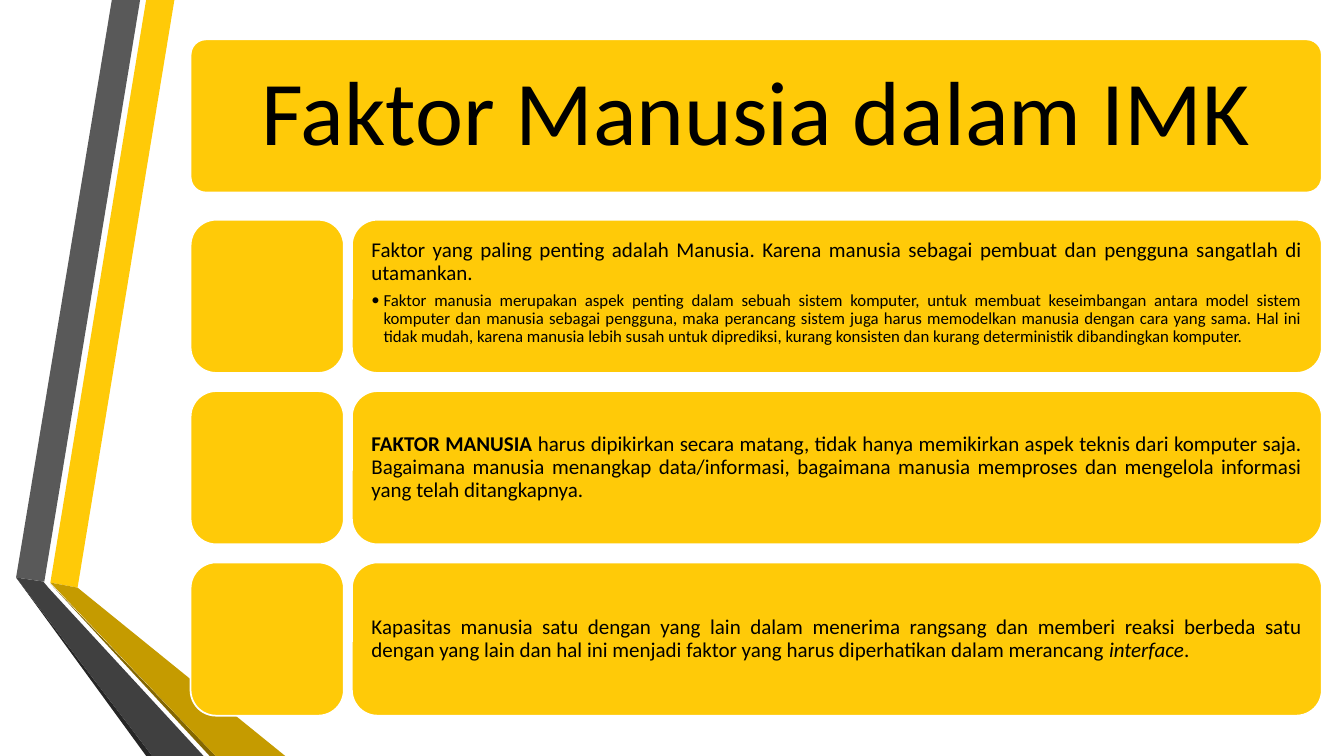
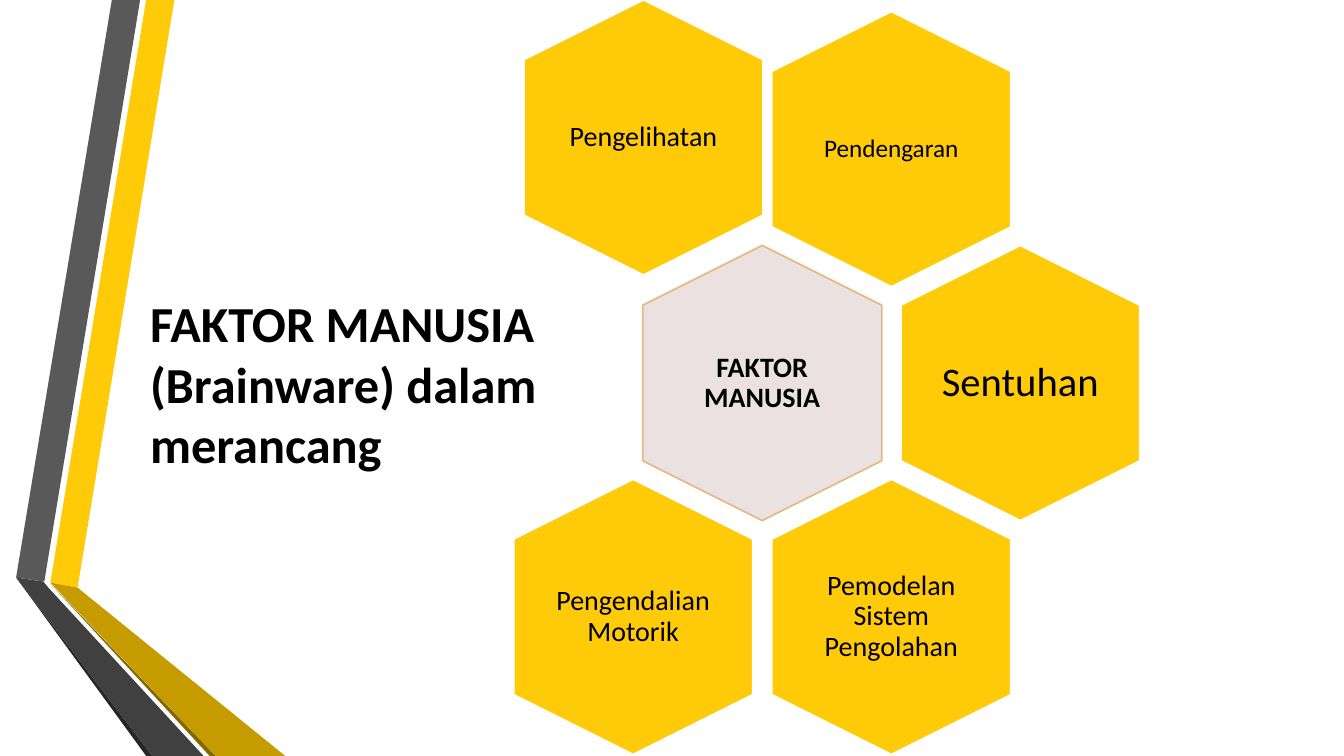
from lxml import etree
from pptx import Presentation
from pptx.dml.color import RGBColor
from pptx.enum import shapes, text
from pptx.oxml.ns import qn
from pptx.util import Inches, Pt

WIDE, HIGH = 13.33, 7.5
FONT = "Calibri"
HUES = {
    "gold": "FFCA08", "ochre": "C59B00", "brown": "846700",
    "ash": "595959", "coal": "404040", "soot": "262626",
    "white": "FFFFFF", "black": "000000", "blush": "EBE1E1", "tan": "E2BB8B",
}
MID, TOP = text.MSO_ANCHOR.MIDDLE, text.MSO_ANCHOR.TOP
LEFT, CENTRE, FULL = text.PP_ALIGN.LEFT, text.PP_ALIGN.CENTER, text.PP_ALIGN.JUSTIFY
ROUND, HEX = shapes.MSO_SHAPE.ROUNDED_RECTANGLE, shapes.MSO_SHAPE.HEXAGON

# Content: a run is (words, style), a paragraph is (size, bullet, runs)
HEAD = "Faktor Manusia dalam IMK"
CARDS = [
    (TOP, [
        (15, False, [("Faktor yang paling penting adalah Manusia. Karena manusia sebagai "
                      "pembuat dan pengguna sangatlah di utamankan.", "")]),
        (12, True, [("Faktor manusia merupakan aspek penting dalam sebuah sistem komputer, "
                     "untuk membuat keseimbangan antara model sistem komputer dan manusia "
                     "sebagai pengguna, maka perancang sistem juga harus memodelkan manusia "
                     "dengan cara yang sama. Hal ini tidak mudah, karena manusia lebih susah "
                     "untuk diprediksi, kurang konsisten dan kurang deterministik "
                     "dibandingkan komputer.", "")]),
    ]),
    (MID, [
        (15, False, [("FAKTOR MANUSIA ", "b"),
                     ("harus dipikirkan secara matang, tidak hanya memikirkan aspek teknis "
                      "dari komputer saja. Bagaimana manusia menangkap data/informasi, "
                      "bagaimana manusia memproses dan mengelola informasi yang telah "
                      "ditangkapnya.", "")]),
    ]),
    (MID, [
        (15, False, [("Kapasitas manusia satu dengan yang lain dalam menerima rangsang dan "
                      "memberi reaksi berbeda satu dengan yang lain dan hal ini menjadi "
                      "faktor yang harus diperhatikan dalam merancang ", ""),
                     ("interface", "i"), (".", "")]),
    ]),
]
TITLE = "FAKTOR MANUSIA (Brainware) dalam merancang"
# Words, size, style, column and row from the centre cell, fill, line
CELLS = [
    ("Pendengaran", 18, "", 0.5, -1, "gold", "white"),
    ("Pengelihatan", 20, "", -0.46, -1.05, "gold", "white"),
    ("FAKTOR MANUSIA", 20, "b", 0, 0, "blush", "tan"),
    ("Sentuhan", 29, "", 1, 0, "gold", "white"),
    ("Pemodelan Sistem Pengolahan", 20, "", 0.5, 1, "gold", "white"),
    ("Pengendalian Motorik", 20, "", -0.5, 1, "gold", "white"),
]
# Folded ribbons at the left edge
BANDS = [
    ("gold", [(0.5, 5.78), (0.77, 5.83), (1.73, 0), (1.45, 0)]),
    ("ash", [(1.39, 0), (1.11, 0), (0.16, 5.73), (0.44, 5.77)]),
    ("soot", [(0.16, 5.73), (1.45, HIGH), (1.51, HIGH)]),
    ("brown", [(0.5, 5.79), (2.08, HIGH), (2.14, HIGH)]),
    ("ochre", [(0.5, 5.78), (2.14, HIGH), (2.83, HIGH), (0.77, 5.83)]),
    ("coal", [(2.02, HIGH), (0.48, 5.83), (0.43, 5.77), (0.16, 5.73), (1.51, HIGH)]),
]


def hue(name):
    return RGBColor.from_string(HUES[name])


def paint(shape, fill, line=None):
    shape.shadow.inherit = False
    shape.fill.solid()
    shape.fill.fore_color.rgb = hue(fill)
    if line:
        shape.line.color.rgb = hue(line)
        shape.line.width = Pt(1.25)
    else:
        shape.line.fill.background()


def block(slide, kind, box, fill="gold", line="white"):
    shape = slide.shapes.add_shape(kind, *map(Inches, box))
    paint(shape, fill, line)
    return shape


def write(shape, paras, align, anchor=MID, pad=(0.1, 0.05), space=0.9):
    frame = shape.text_frame
    frame.word_wrap = True
    frame.vertical_anchor = anchor
    frame.margin_left = frame.margin_right = Inches(pad[0])
    frame.margin_top = frame.margin_bottom = Inches(pad[1])
    for n, (size, dot, runs) in enumerate(paras):
        para = frame.add_paragraph() if n else frame.paragraphs[0]
        para.alignment = align
        para.line_spacing = space
        para.space_before = Pt(0)
        para.space_after = Pt(round(size * 0.35) if n < len(paras) - 1 else 0)
        if dot:
            prop = para._p.get_or_add_pPr()
            prop.set("marL", str(Inches(0.12)))
            prop.set("indent", str(-Inches(0.12)))
            etree.SubElement(prop, qn("a:buFont")).set("typeface", FONT)
            etree.SubElement(prop, qn("a:buChar")).set("char", "•")
        for words, style in runs:
            run = para.add_run()
            run.text = words
            font = run.font
            font.name, font.size = FONT, Pt(size)
            font.bold, font.italic = style == "b", style == "i"
            font.color.rgb = hue("black")


def page(deck):
    slide = deck.slides.add_slide(deck.slide_layouts[6])
    for name, dots in BANDS:
        pen = slide.shapes.build_freeform(*map(Inches, dots[0]), scale=1.0)
        pen.add_line_segments([tuple(map(Inches, dot)) for dot in dots[1:]], close=True)
        paint(pen.convert_to_shape(), name)
    return slide


def cards(deck):
    slide = page(deck)
    left, side, gap, right = 1.89, 1.52, 0.08, 13.11
    head = block(slide, ROUND, (left, 0.39, right - left, side))
    head.adjustments[0] = 0.1
    write(head, [(65, False, [(HEAD, "")])], CENTRE, pad=(0.14, 0.09))
    for row, (anchor, paras) in enumerate(CARDS):
        top = 2.18 + row * 1.7
        start = left + side + gap
        block(slide, ROUND, (left, top, side, side))
        card = block(slide, ROUND, (start, top, right - start, side))
        write(card, paras, FULL, anchor, (0.12, 0.12))


def comb(deck):
    slide = page(deck)
    title = slide.shapes.add_textbox(*map(Inches, (1.39, 2.84, 4.4, 1.92)))
    write(title, [(36, False, [(TITLE, "b")])], LEFT, space=1.0)
    mid, step = (7.56, 3.8), (2.56, 2.32)
    long, short = 2.73, 2.37
    wide, high = 1.63, 1.88
    for words, size, style, col, row, fill, line in CELLS:
        x, y = mid[0] + col * step[0], mid[1] + row * step[1]
        cell = block(slide, HEX, (x - long / 2, y - short / 2, long, short), fill, line)
        cell.rotation = 90
        # Upright label over the turned hexagon, as wide as the cell allows
        label = slide.shapes.add_textbox(
            *map(Inches, (x - wide / 2, y - high / 2, wide, high)))
        write(label, [(size, False, [(words, style)])], CENTRE, pad=(0, 0))


def main():
    deck = Presentation()
    deck.slide_width, deck.slide_height = Inches(WIDE), Inches(HIGH)
    cards(deck)
    comb(deck)
    deck.save("out.pptx")


if __name__ == "__main__":
    main()
